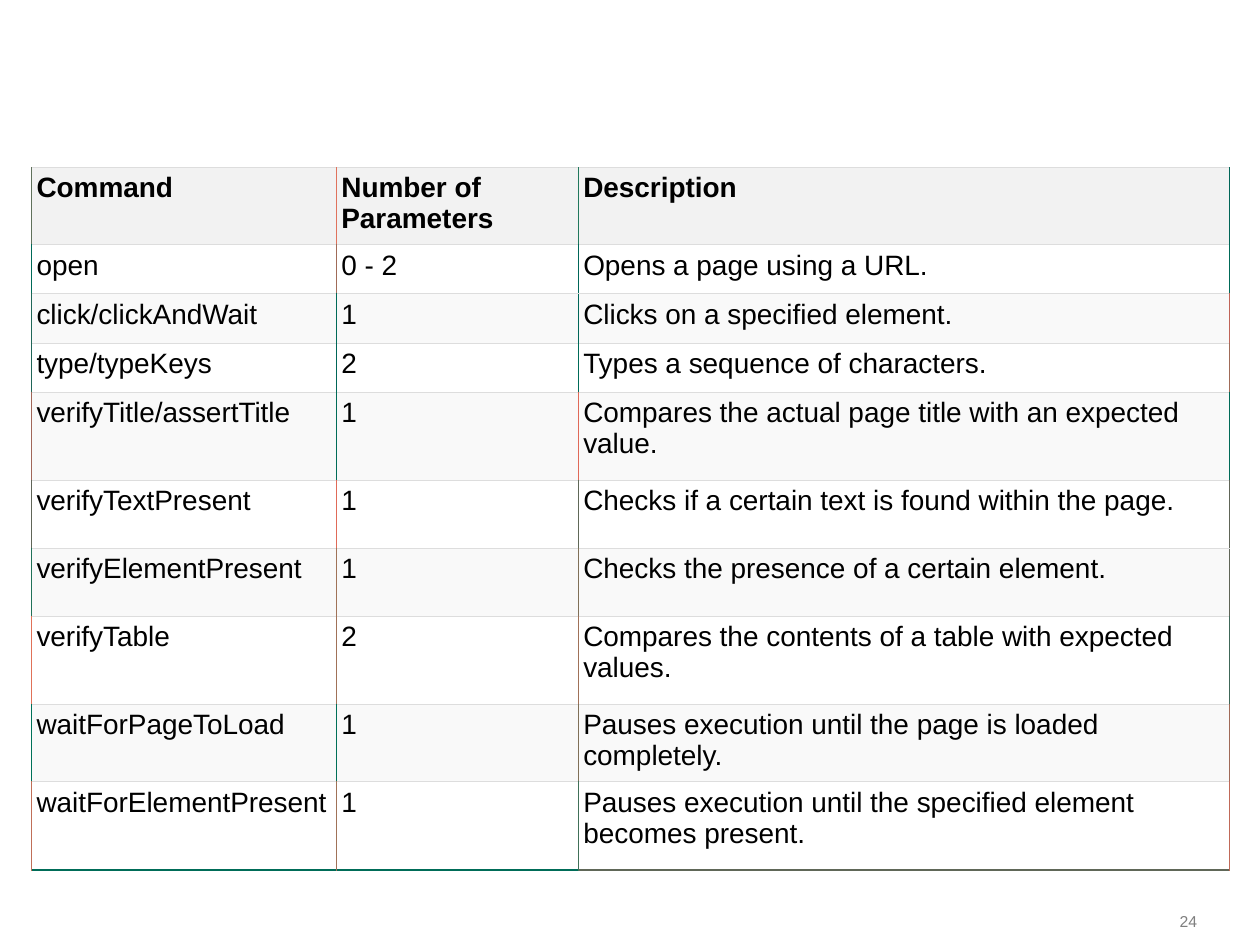
from lxml.etree import SubElement
from pptx import Presentation
from pptx.dml.color import RGBColor
from pptx.enum.text import MSO_ANCHOR, PP_ALIGN
from pptx.oxml.ns import qn
from pptx.util import Inches, Pt

BLACK = RGBColor(0x00, 0x00, 0x00)
GRAY = RGBColor(0x7F, 0x7F, 0x7F)
HEADER_FILL = RGBColor(0xF2, 0xF2, 0xF2)
BAND_FILLS = (RGBColor(0xF9, 0xF9, 0xF9), RGBColor(0xFF, 0xFF, 0xFF))
RULE = RGBColor(0xDD, 0xDD, 0xDD)

HEADER = ("Command", "Number of Parameters", "Description")
COMMANDS = [
    ("open", "0 - 2", "Opens a page using a URL."),
    ("click/clickAndWait", "1", "Clicks on a specified element."),
    ("type/typeKeys", "2", "Types a sequence of characters."),
    ("verifyTitle/assertTitle", "1", "Compares the actual page title with an expected value."),
    ("verifyTextPresent", "1", "Checks if a certain text is found within the page."),
    ("verifyElementPresent", "1", "Checks the presence of a certain element."),
    ("verifyTable", "2", "Compares the contents of a table with expected values."),
    ("waitForPageToLoad", "1", "Pauses execution until the page is loaded completely."),
    ("waitForElementPresent", "1",
     "Pauses execution until the specified element becomes present."),
]
COLUMN_WIDTHS = (2.42, 1.92, 5.17)
ROW_HEIGHTS = (0.39, 0.39, 0.39, 0.39, 0.7, 0.54, 0.54, 0.7, 0.54, 0.7)
# Vertical border colours of each row, from the left edge to the right edge
VERTICAL_BORDERS = [
    [RGBColor.from_string(color) for color in row.split()]
    for row in (
        "60715C E0725C 20785C 006658",
        "006A58 A06B58 006658 006A58",
        "206758 006A58 006658 C06458",
        "206558 006658 006B58 A06B58",
        "A06658 006C58 E06958 006B58",
        "606558 E06A58 606858 606558",
        "207158 A07358 807058 606558",
        "E07158 A07158 A07158 406758",
        "007158 007058 807058 A06A58",
        "C06F58 A07258 407058 C06958",
    )
]
BOTTOM_BORDERS = [RGBColor.from_string(color) for color in ("006C58", "006C58", "606758")]
THIN, THICK = Pt(0.6), Pt(1)


def write_text(frame, text, size=16, color=BLACK, bold=False, align=PP_ALIGN.LEFT,
               anchor=MSO_ANCHOR.TOP):
    frame.word_wrap = True
    frame.vertical_anchor = anchor
    paragraph = frame.paragraphs[0]
    paragraph.alignment = align
    run = paragraph.add_run()
    run.text = text
    run.font.name = "Arial"
    run.font.size = Pt(size)
    run.font.bold = bold
    run.font.color.rgb = color


def set_borders(cell, borders):
    """Add (side, colour, width) lines ahead of the cell's fill, as the schema requires."""
    properties = cell._tc.get_or_add_tcPr()
    for position, (side, color, width) in enumerate(borders):
        line = SubElement(properties, qn(f"a:ln{side}"), w=str(width))
        fill = SubElement(line, qn("a:solidFill"))
        SubElement(fill, qn("a:srgbClr"), val=str(color))
        properties.insert(position, line)


def add_command_table(slide):
    rows = [HEADER, *COMMANDS]
    table = slide.shapes.add_table(
        len(rows), len(HEADER), Inches(0.25), Inches(1.33),
        Inches(sum(COLUMN_WIDTHS)), Inches(sum(ROW_HEIGHTS))).table
    table.first_row = table.horz_banding = False
    for column, width in zip(table.columns, COLUMN_WIDTHS):
        column.width = Inches(width)
    for i, (texts, height) in enumerate(zip(rows, ROW_HEIGHTS)):
        table.rows[i].height = Inches(height)
        is_header, is_last = i == 0, i == len(rows) - 1
        for j, text in enumerate(texts):
            cell = table.cell(i, j)
            cell.margin_left = cell.margin_right = Inches(0.04)
            cell.margin_top = cell.margin_bottom = Inches(0.04)
            cell.fill.solid()
            cell.fill.fore_color.rgb = HEADER_FILL if is_header else BAND_FILLS[i % 2]
            write_text(cell.text_frame, text, bold=is_header)
            left, right = VERTICAL_BORDERS[i][j:j + 2]
            at_edge = j == len(texts) - 1
            set_borders(cell, [
                ("L", left, THIN if is_header else THICK),
                ("R", right, THIN if is_header and not at_edge else THICK),
                ("T", RULE, THIN),
                ("B", BOTTOM_BORDERS[j], THICK) if is_last else ("B", RULE, THIN),
            ])


def add_slide_number(slide, number):
    box = slide.shapes.add_textbox(Inches(8.91), Inches(7.18), Inches(0.59), Inches(0.27))
    frame = box.text_frame
    frame.margin_left = frame.margin_right = frame.margin_top = frame.margin_bottom = 0
    write_text(frame, number, size=9, color=GRAY, align=PP_ALIGN.RIGHT,
               anchor=MSO_ANCHOR.MIDDLE)


def main():
    presentation = Presentation()
    presentation.slide_width, presentation.slide_height = Inches(10), Inches(7.5)
    slide = presentation.slides.add_slide(presentation.slide_layouts[6])
    add_slide_number(slide, "24")
    add_command_table(slide)
    presentation.save("out.pptx")


if __name__ == "__main__":
    main()
